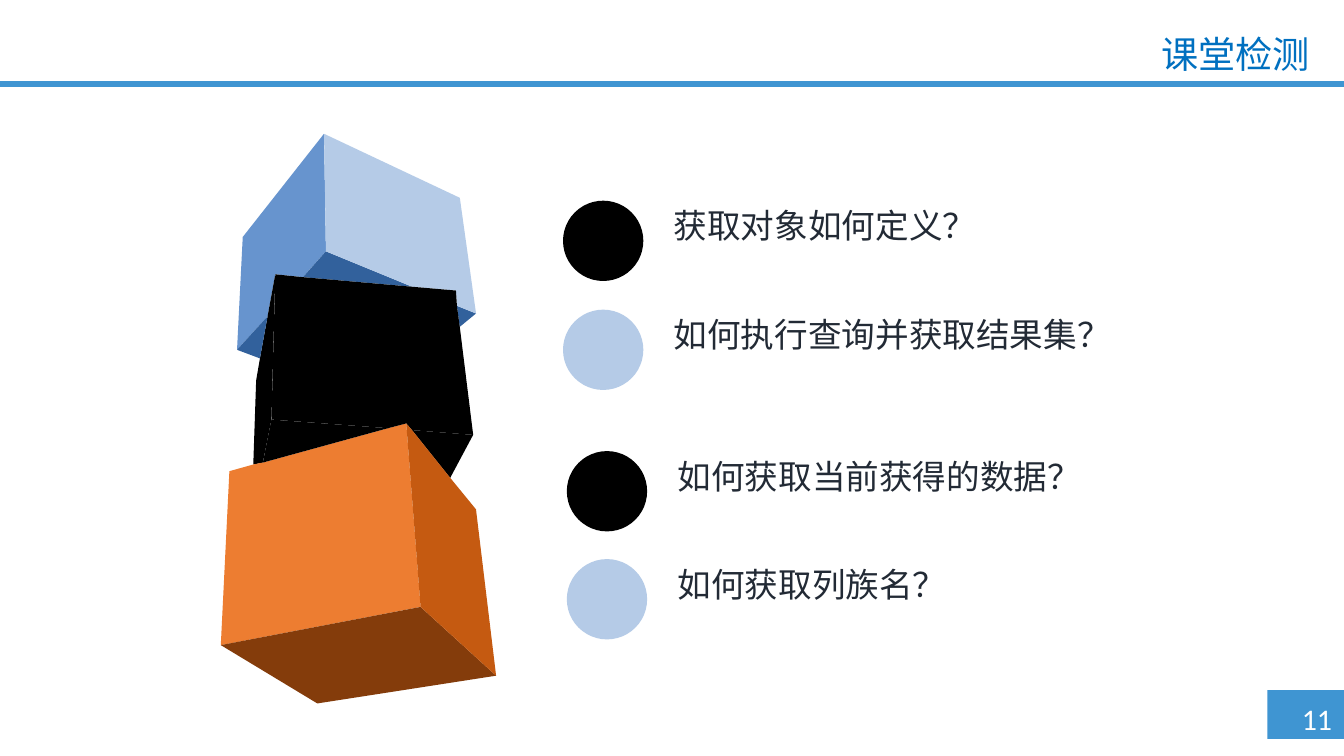
import pptx
import pptx.util
import pptx.dml.color
import pptx.enum.shapes
import pptx.enum.text

RGBColor = pptx.dml.color.RGBColor
SHAPE = pptx.enum.shapes.MSO_SHAPE
ALIGN = pptx.enum.text.PP_ALIGN

BAR_BLUE = RGBColor(0x3F, 0x95, 0xD2)
TITLE_BLUE = RGBColor(0x00, 0x70, 0xC0)
TEXT_DARK = RGBColor(0x22, 0x2A, 0x35)
WHITE = RGBColor(0xFF, 0xFF, 0xFF)
BLACK = RGBColor(0x00, 0x00, 0x00)
PALE_BLUE = RGBColor(0xB5, 0xCB, 0xE7)
MID_BLUE = RGBColor(0x67, 0x94, 0xCE)
DEEP_BLUE = RGBColor(0x32, 0x61, 0x9C)
ORANGE = RGBColor(0xED, 0x7D, 0x31)
DARK_ORANGE = RGBColor(0xC5, 0x5A, 0x11)
BROWN = RGBColor(0x84, 0x3C, 0x0B)

CUBE_FACES = [
    (MID_BLUE, [[(2.48, 3.66), (2.54, 2.48), (3.39, 1.4), (3.41, 2.63),
                 (3.17, 2.9), (2.88, 2.87), (2.8, 3.31)]]),
    (BLACK, [[(2.65, 4.86), (2.68, 3.98), (2.72, 3.75), (2.8, 3.31),
              (2.88, 2.87), (2.84, 4.39), (2.75, 4.84)]]),
    (ORANGE, [[(2.31, 6.75), (2.4, 4.93), (2.65, 4.86), (2.75, 4.84),
               (4.06, 4.48), (4.25, 4.43), (4.4, 6.35)]]),
    (DEEP_BLUE, [[(4.78, 3.2), (4.81, 3.42), (4.98, 3.28)],
                 [(2.72, 3.75), (2.8, 3.31), (2.48, 3.66)],
                 [(3.17, 2.9), (4.31, 3), (3.41, 2.63)]]),
    (BLACK, [[(4.31, 4.5), (4.71, 5), (4.95, 4.55)],
             [(2.75, 4.84), (4.06, 4.48), (2.84, 4.39)]]),
    (BROWN, [[(2.31, 6.75), (4.4, 6.35), (5.19, 7.07), (3.32, 7.36)]]),
    (PALE_BLUE, [[(3.41, 2.63), (3.39, 1.4), (4.81, 2.07), (4.98, 3.28),
                  (4.78, 3.2), (4.77, 3.04), (4.31, 3)]]),
    (BLACK, [[(2.84, 4.39), (2.88, 2.87), (3.17, 2.9), (4.31, 3),
              (4.77, 3.04), (4.78, 3.2), (4.81, 3.42), (4.95, 4.55),
              (4.31, 4.5), (4.25, 4.43), (4.06, 4.48)]]),
    (DARK_ORANGE, [[(4.4, 6.35), (4.25, 4.43), (4.31, 4.5), (4.71, 5),
                    (4.98, 5.33), (5.19, 7.07)]]),
]

QUESTIONS = [
    ("获取对象如何定义？", 5.89, 2.1, 6.57, BLACK),
    ("如何执行查询并获取结果集？", 5.89, 3.24, 6.32, PALE_BLUE),
    ("如何获取当前获得的数据？", 5.93, 4.72, 5.68, BLACK),
    ("如何获取列族名？", 5.93, 5.85, 5.68, PALE_BLUE),
]


def inch(value):
    return pptx.util.Cm(2.54 * value)


class Deck:
    """Hold the presentation style and the current slide, and draw on it."""

    def __init__(self, width, height):
        self.prs = pptx.Presentation()
        self.prs.slide_width = inch(width)
        self.prs.slide_height = inch(height)
        self.font = "Arial Narrow"
        self.size = 25.3
        self.color = TEXT_DARK

    def add_slide(self):
        self.s = self.prs.slides.add_slide(self.prs.slide_layouts[6])

    def paint(self, sp, color):
        sp.shadow.inherit = False
        sp.fill.solid()
        sp.fill.fore_color.rgb = color
        sp.line.fill.background()

    def shape(self, kind, x, y, w, h, color):
        sp = self.s.shapes.add_shape(kind, inch(x), inch(y), inch(w), inch(h))
        self.paint(sp, color)

    def faces(self, faces):
        group = self.s.shapes.add_group_shape()
        for color, outlines in faces:
            builder = None
            for outline in outlines:
                start, *rest = [(inch(x), inch(y)) for x, y in outline]
                if builder is None:
                    builder = group.shapes.build_freeform(*start)
                else:
                    builder.move_to(*start)
                builder.add_line_segments(rest, close=True)
            self.paint(builder.convert_to_shape(), color)

    def text(self, text, x, y, w, h, font=None, size=None, color=None,
             align=ALIGN.LEFT, wrap=True, spacing=None):
        sp = self.s.shapes.add_textbox(inch(x), inch(y), inch(w), inch(h))
        tf = sp.text_frame
        tf.word_wrap = wrap
        p = tf.paragraphs[0]
        p.alignment = align
        p.line_spacing = spacing
        r = p.add_run()
        r.text = text
        r.font.name = font or self.font
        r.font.size = pptx.util.Pt(size or self.size)
        r.font.color.rgb = color or self.color


def main():
    deck = Deck(14.06, 7.91)
    deck.add_slide()
    deck.shape(SHAPE.RECTANGLE, 13.26, 7.22, 0.8, 0.51, BAR_BLUE)
    deck.shape(SHAPE.RECTANGLE, 0, 0.85, 14.06, 0.06, BAR_BLUE)
    deck.text("11", 13.52, 7.28, 0.65, 0.48, font="Calibri", size=22.5,
              color=WHITE, wrap=False)
    deck.faces(CUBE_FACES)
    for question, x, y, width, color in QUESTIONS:
        deck.text(question, x + 1.06, y, width, 0.53)
        deck.shape(SHAPE.OVAL, x, y, 0.84, 0.84, color)
    deck.text("课堂检测", 6.4, 0.33, 7.4, 0.4, font="Noto Sans CJK SC", size=28,
              color=TITLE_BLUE, align=ALIGN.RIGHT, spacing=0.9)
    deck.prs.save("out.pptx")


if __name__ == "__main__":
    main()
